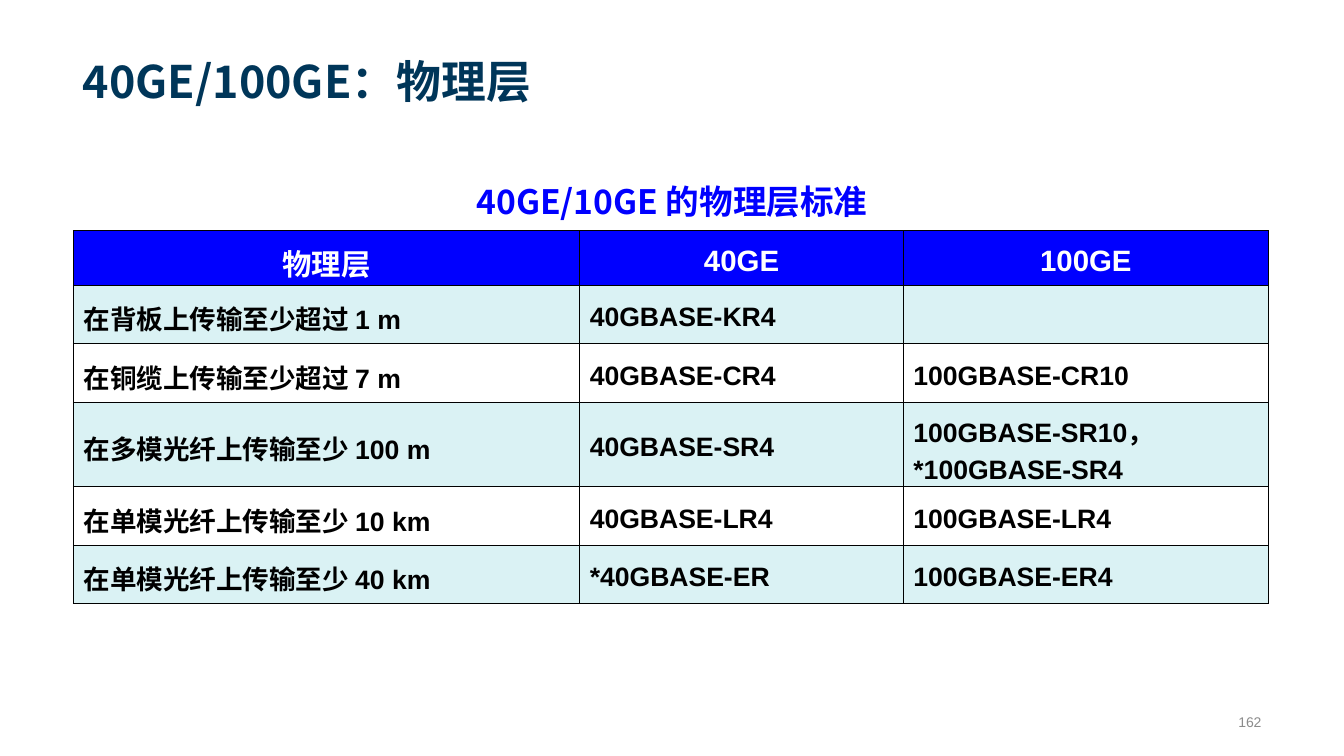
import pptx
import pptx.util
import pptx.dml.color
import pptx.enum.text
import pptx.oxml
import pptx.oxml.ns

Inches = pptx.util.Inches
ALIGN = pptx.enum.text.PP_ALIGN
ANCHOR = pptx.enum.text.MSO_ANCHOR
HAN = "Noto Sans CJK SC"
COLORS = {"title": "003659", "blue": "0000FF", "white": "FFFFFF",
          "band": "DAF2F4", "black": "000000", "gray": "8C8C8C"}

TITLE = "40GE/100GE：物理层"
HEAD = "40GE/10GE 的物理层标准"
PAGE = "162"
ROWS = [
    ("物理层", "40GE", "100GE"),
    ("在背板上传输至少超过 1 m", "40GBASE-KR4", ""),
    ("在铜缆上传输至少超过 7 m", "40GBASE-CR4", "100GBASE-CR10"),
    ("在多模光纤上传输至少 100 m", "40GBASE-SR4", "100GBASE-SR10，\n*100GBASE-SR4"),
    ("在单模光纤上传输至少 10 km", "40GBASE-LR4", "100GBASE-LR4"),
    ("在单模光纤上传输至少 40 km", "*40GBASE-ER", "100GBASE-ER4"),
]
WIDTHS = [5.02, 3.21, 3.62]
HEIGHTS = [0.54, 0.58, 0.58, 0.84, 0.58, 0.58]


def rgb(name):
    return pptx.dml.color.RGBColor.from_string(COLORS[name])


def write(frame, text, size, color, font="Arial", bold=True, align=ALIGN.LEFT,
          space=None):
    for i, line in enumerate(text.split("\n")):
        para = frame.add_paragraph() if i else frame.paragraphs[0]
        para.alignment = align
        para.line_spacing = space
        run = para.add_run()
        run.text = line
        run.font.size = pptx.util.Pt(size)
        run.font.bold = bold
        run.font.color.rgb = rgb(color)
        run.font.name = font
        east = pptx.oxml.parse_xml(
            f'<a:ea {pptx.oxml.ns.nsdecls("a")} typeface="{HAN}"/>')
        run.font._element.append(east)


def border(cell):
    props = cell._tc.get_or_add_tcPr()
    for i, side in enumerate("LRTB"):
        props.insert(i, pptx.oxml.parse_xml(
            f'<a:ln{side} {pptx.oxml.ns.nsdecls("a")} w="12700"><a:solidFill>'
            f'<a:srgbClr val="{COLORS["black"]}"/></a:solidFill></a:ln{side}>'))


def box(slide, left, top, width, height, wrap):
    shape = slide.shapes.add_textbox(*map(Inches, (left, top, width, height)))
    shape.text_frame.word_wrap = wrap
    return shape.text_frame


def table(slide):
    frame = slide.shapes.add_table(
        len(ROWS), len(WIDTHS), Inches(0.73), Inches(2.29),
        Inches(sum(WIDTHS)), Inches(sum(HEIGHTS)))
    grid = frame.table
    for col, width in zip(grid.columns, WIDTHS):
        col.width = Inches(width)
    for r, (row, height) in enumerate(zip(ROWS, HEIGHTS)):
        grid.rows[r].height = Inches(height)
        for c, text in enumerate(row):
            cell = grid.cell(r, c)
            cell.vertical_anchor = ANCHOR.MIDDLE
            cell.margin_left = cell.margin_right = Inches(0.1)
            cell.margin_top = cell.margin_bottom = 0
            if r % 2 or r == 0:
                cell.fill.solid()
                cell.fill.fore_color.rgb = rgb("band" if r else "blue")
            else:
                cell.fill.background()
            border(cell)
            if text:
                write(cell.text_frame, text, 19 if r else 21,
                      "black" if r else "white", space=1.2,
                      align=ALIGN.JUSTIFY if r else ALIGN.CENTER)


def main():
    deck = pptx.Presentation()
    deck.slide_width, deck.slide_height = Inches(13.33), Inches(7.5)
    slide = deck.slides.add_slide(deck.slide_layouts[5])

    title = slide.shapes.title
    title.left, title.top = Inches(0.72), Inches(0.14)
    title.width, title.height = Inches(11.88), Inches(0.98)
    title.text_frame.auto_size = pptx.enum.text.MSO_AUTO_SIZE.NONE
    title.text_frame.vertical_anchor = ANCHOR.BOTTOM
    write(title.text_frame, TITLE, 32, "title", font=HAN)

    page = box(slide, 11.73, 7.01, 0.88, 0.3, True)
    page.vertical_anchor = ANCHOR.MIDDLE
    write(page, PAGE, 10, "gray", bold=False, align=ALIGN.RIGHT)

    head = box(slide, 4.56, 1.67, 4.21, 0.54, False)
    head.auto_size = pptx.enum.text.MSO_AUTO_SIZE.SHAPE_TO_FIT_TEXT
    write(head, HEAD, 24, "blue", font=HAN, align=ALIGN.CENTER, space=1.2)

    table(slide)
    deck.save("out.pptx")


if __name__ == "__main__":
    main()
